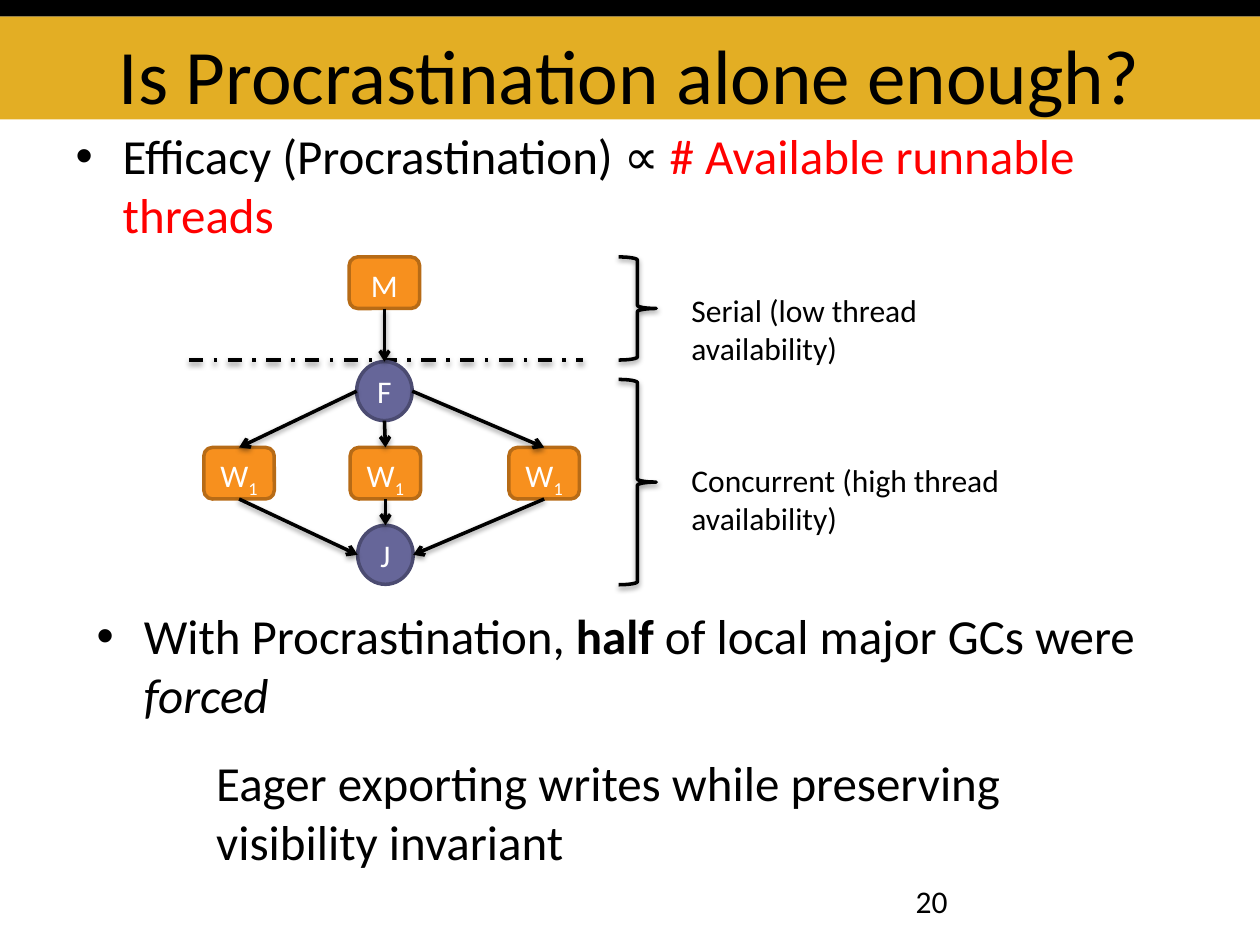
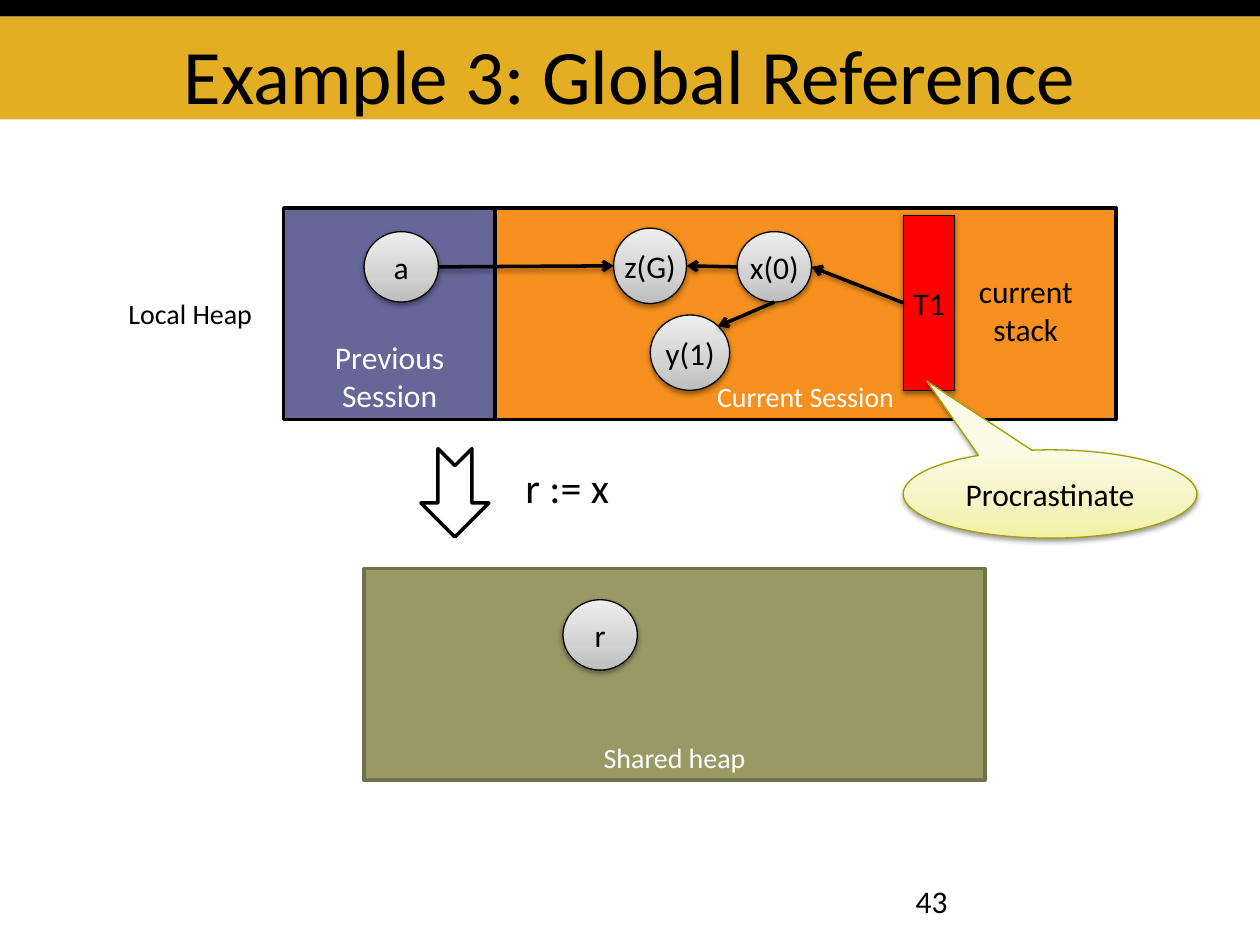
from copy import deepcopy

from lxml.etree import SubElement
from pptx import Presentation
from pptx.dml.color import RGBColor
from pptx.enum.dml import MSO_LINE
from pptx.enum.shapes import MSO_CONNECTOR, MSO_SHAPE
from pptx.enum.text import MSO_ANCHOR, MSO_AUTO_SIZE, PP_ALIGN
from pptx.oxml.ns import qn
from pptx.util import Cm, Pt

COLORS = {
    "black": "000000", "white": "FFFFFF", "gold": "E3AE24", "red": "FF0000",
    "orange": "F7901E", "brown": "B76B16",
    "violet": "666699", "dark violet": "4B4B71",
    "olive": "999966", "dark olive": "71714B", "lime": "A09E00",
    "gray low": "BDBDBD", "gray mid": "D1D1D1", "gray high": "EEEEEE",
    "cream low": "F2F0A2", "cream mid": "F5F3BF", "cream high": "FCFBE6",
}
GRAY = ("gray low", "gray mid", "gray high")
CREAM = ("cream low", "cream mid", "cream high")
SIDES = {"top": (0.5, 0), "left": (0, 0.5), "bottom": (0.5, 1),
         "right": (1, 0.5), "top right": (0.85, 0.15)}
TITLE_BAND = (0, 0.33, 25.4, 2.08)
TOP_BAND = (0, 0, 25.4, 0.33)


def color(name):
    return RGBColor.from_string(COLORS[name])


def write(frame, *paragraphs, size=18, ink="black", align=PP_ALIGN.LEFT,
          anchor=MSO_ANCHOR.TOP, wrap=True, bullet=False, margins=None):
    frame.auto_size = MSO_AUTO_SIZE.NONE
    frame.word_wrap = wrap
    frame.vertical_anchor = anchor
    if margins:
        (frame.margin_left, frame.margin_top,
         frame.margin_right, frame.margin_bottom) = map(Cm, margins)
    for index, content in enumerate(paragraphs):
        paragraph = frame.add_paragraph() if index else frame.paragraphs[0]
        paragraph.alignment = align
        paragraph.space_before = Pt(0)
        if bullet:
            properties = paragraph._p.get_or_add_pPr()
            properties.set("marL", str(Cm(0.95)))
            properties.set("indent", str(-Cm(0.95)))
            SubElement(properties, qn("a:buFont"), typeface="Arial")
            SubElement(properties, qn("a:buChar"), char="•")
        runs = [(content, {})] if isinstance(content, str) else content
        for text, style in runs:
            run = paragraph.add_run()
            run.text = text
            font = run.font
            font.name = "Calibri"
            font.size = Pt(size)
            font.color.rgb = color(style.get("ink", ink))
            font.bold = style.get("bold")
            font.italic = style.get("italic")
            if "baseline" in style:
                font._element.set("baseline", str(style["baseline"] * 1000))


def cast_shadow(effects):
    shadow = SubElement(effects, qn("a:outerShdw"), blurRad=str(Pt(3.1)),
                        dist=str(Pt(1.6)), dir="5400000", rotWithShape="0")
    shade = SubElement(shadow, qn("a:srgbClr"), val=COLORS["black"])
    SubElement(shade, qn("a:alpha"), val="38000")


def side_point(shape, side):
    across, down = SIDES[side]
    return (round(shape.left + shape.width * across),
            round(shape.top + shape.height * down))


class Deck:
    """Holds the presentation style and the slide being drawn."""

    def __init__(self):
        self.prs = Presentation()
        self.prs.slide_width, self.prs.slide_height = Cm(25.4), Cm(19.05)
        self.slide = None

    def add_bands(self):
        tree = self.prs.slide_master.shapes.element
        for index, (place, fill) in enumerate(
                ((TITLE_BAND, "gold"), (TOP_BAND, "black"))):
            band = self.shape(MSO_SHAPE.RECTANGLE, place, fill).element
            band.nvSpPr.cNvPr.set("id", str(90 + index))
            tree.insert(2 + index, band)

    def start(self, title, number, layout):
        first = self.slide is None
        self.slide = self.prs.slides.add_slide(self.prs.slide_layouts[layout])
        if first:
            self.add_bands()
        self.placeholder(0, (1.27, 0.33, 22.86, 2.08), title, size=44,
                         align=PP_ALIGN.CENTER, anchor=MSO_ANCHOR.BOTTOM,
                         margins=(0.25, 0.13, 0.25, 0))
        self.label((18.21, 17.65, 5.92, 1.02), number)

    def placeholder(self, index, place, *paragraphs, **style):
        holder = self.slide.placeholders[index]
        holder.left, holder.top, holder.width, holder.height = map(Cm, place)
        write(holder.text_frame, *paragraphs, **style)

    def label(self, place, *paragraphs, **style):
        box = self.slide.shapes.add_textbox(*map(Cm, place))
        write(box.text_frame, *paragraphs, **style)

    def shape(self, kind, place, fill=None, line=None, width=2, text=None,
              shadow=False, **style):
        shape = self.slide.shapes.add_shape(kind, *map(Cm, place))
        shape.shadow.inherit = False
        if fill is None:
            shape.fill.background()
        elif isinstance(fill, tuple):
            self.shade(shape, fill)
        else:
            shape.fill.solid()
            shape.fill.fore_color.rgb = color(fill)
        if line:
            shape.line.color.rgb = color(line)
            shape.line.width = Pt(width)
        else:
            shape.line.fill.background()
        if shadow:
            cast_shadow(shape.element.spPr.find(qn("a:effectLst")))
        if text:
            write(shape.text_frame, text, align=PP_ALIGN.CENTER, **style)
        return shape

    def shade(self, shape, tones):
        shape.fill.gradient()
        shape.fill.gradient_angle = 90
        stops = next(shape.element.spPr.iter(qn("a:gsLst")))
        stops.insert(1, deepcopy(stops[0]))
        for stop, position, tone in zip(stops, (0, 35000, 100000), tones):
            stop.set("pos", str(position))
        for stop, tone in zip(shape.fill.gradient_stops, tones):
            stop.color.rgb = color(tone)

    def circle(self, place, text, fill=GRAY, line="black", width=0.75,
               shadow=True, **style):
        return self.shape(MSO_SHAPE.OVAL, place, fill, line, width, text,
                          shadow, anchor=MSO_ANCHOR.MIDDLE, wrap=False,
                          margins=(0, 0, 0, 0), **style)

    def line(self, start, end):
        line = self.slide.shapes.add_connector(
            MSO_CONNECTOR.STRAIGHT, *start, *end)
        line.line.color.rgb = color("black")
        line.line.width = Pt(2)
        cast_shadow(SubElement(line.element.spPr, qn("a:effectLst")))
        return line

    def arrow(self, source, source_side, target, target_side):
        arrow = self.line(side_point(source, source_side),
                          side_point(target, target_side))
        for shape, side, connect in (
                (source, source_side, arrow.begin_connect),
                (target, target_side, arrow.end_connect)):
            if shape.auto_shape_type != MSO_SHAPE.OVAL:
                connect(shape, list(SIDES).index(side))
        SubElement(arrow.line._get_or_add_ln(), qn("a:tailEnd"), type="arrow")


def procrastination_slide(deck):
    deck.start("Is Procrastination alone enough?", "20", layout=1)
    deck.placeholder(1, (1.27, 2.41, 22.86, 2.9),
                     [("Efficacy (Procrastination) ∝ ", {}),
                      ("# Available runnable threads", {"ink": "red"})],
                     size=28, bullet=True)

    divider = deck.line((Cm(3.81), Cm(7.26)), (Cm(11.76), Cm(7.26)))
    divider.line.dash_style = MSO_LINE.DASH_DOT

    def task(left, top, text):
        return deck.shape(MSO_SHAPE.ROUNDED_RECTANGLE, (left, top, 1.42, 1.04),
                          "orange", "brown", text=text, ink="white")

    def sync(left, top, text):
        return deck.circle((left, top, 1.12, 1.19), text, "violet",
                           "dark violet", 2, shadow=False, ink="white")

    main_task = task(7.04, 5.18, "M")
    worker_name = [("W", {}), ("1", {"baseline": -25})]
    workers = [task(left, 9.02, worker_name) for left in (4.11, 7.06, 10.26)]
    fork = sync(7.19, 7.29, "F")
    join = sync(7.21, 10.59, "J")
    deck.arrow(main_task, "bottom", fork, "top")
    for worker, fork_side, join_side in zip(
            workers, ("left", "bottom", "right"), ("left", "top", "right")):
        deck.arrow(fork, fork_side, worker, "top")
        deck.arrow(worker, "bottom", join, join_side)

    for top, height, label_top, label_width, phase in (
            (5.18, 2.08, 5.74, 7.29, "Serial (low thread availability)"),
            (7.65, 4.14, 9.17, 8.76, "Concurrent (high thread availability)")):
        deck.shape(MSO_SHAPE.RIGHT_BRACE, (12.47, top, 0.76, height),
                   line="black", shadow=True)
        deck.label((13.69, label_top, label_width, 0.94), phase)

    deck.label((1.7, 12.09, 22.86, 2.51),
               [("With Procrastination, ", {}), ("half", {"bold": True}),
                (" of local major GCs were ", {}),
                ("forced", {"italic": True})], size=28, bullet=True)
    deck.label((4.11, 15.04, 18.69, 2.51),
               "Eager exporting writes while preserving visibility invariant",
               size=28)


def global_reference_slide(deck):
    deck.start("Example 3: Global Reference", "43", layout=5)
    for place, fill, line, text, size in (
            ((5.72, 4.19, 4.27, 4.27), "violet", "black",
             "Previous Session", 18),
            ((9.98, 4.19, 12.52, 4.27), "orange", "black",
             "Current Session", 16),
            ((7.34, 11.46, 12.52, 4.27), "olive", "dark olive",
             "Shared heap", 16)):
        deck.shape(MSO_SHAPE.RECTANGLE, place, fill, line, text=text,
                   size=size, ink="white", anchor=MSO_ANCHOR.BOTTOM)

    x = deck.circle((14.86, 4.67, 1.5, 1.42), "x(0)")
    y = deck.circle((13.11, 6.35, 1.6, 1.52), "y(1)")
    z = deck.circle((12.37, 4.6, 1.47, 1.52), "z(G)")
    a = deck.circle((7.34, 4.67, 1.5, 1.42), "a")
    deck.circle((11.35, 12.09, 1.5, 1.42), "r")
    thread = deck.shape(MSO_SHAPE.RECTANGLE, (18.21, 4.34, 1.04, 3.53), "red",
                        "black", 0.75, "T1", True, anchor=MSO_ANCHOR.MIDDLE,
                        margins=(0, 0.13, 0, 0.13))
    deck.arrow(x, "bottom", y, "top right")
    deck.arrow(x, "left", z, "right")
    deck.arrow(thread, "left", x, "right")
    deck.arrow(a, "right", z, "left")

    deck.label((19.46, 5.36, 2.44, 1.8), "current", "stack",
               align=PP_ALIGN.CENTER, wrap=False)
    deck.label((2.34, 5.84, 3.05, 0.94), "Local Heap", size=16,
               anchor=MSO_ANCHOR.MIDDLE, wrap=False)
    step = deck.shape(MSO_SHAPE.NOTCHED_RIGHT_ARROW, (8.28, 9.25, 1.78, 1.37),
                      "white", "black")
    step.rotation = 90
    deck.label((10.34, 9.17, 2.24, 1.27), "r := x", size=24, wrap=False)
    advice = deck.shape(MSO_SHAPE.OVAL_CALLOUT, (18.21, 9.07, 5.92, 1.78),
                        CREAM, "lime", 0.75, "Procrastinate", True,
                        anchor=MSO_ANCHOR.MIDDLE)
    advice.adjustments[0], advice.adjustments[1] = -0.42, -1.28


def main():
    deck = Deck()
    procrastination_slide(deck)
    global_reference_slide(deck)
    deck.prs.save("out.pptx")


if __name__ == "__main__":
    main()
